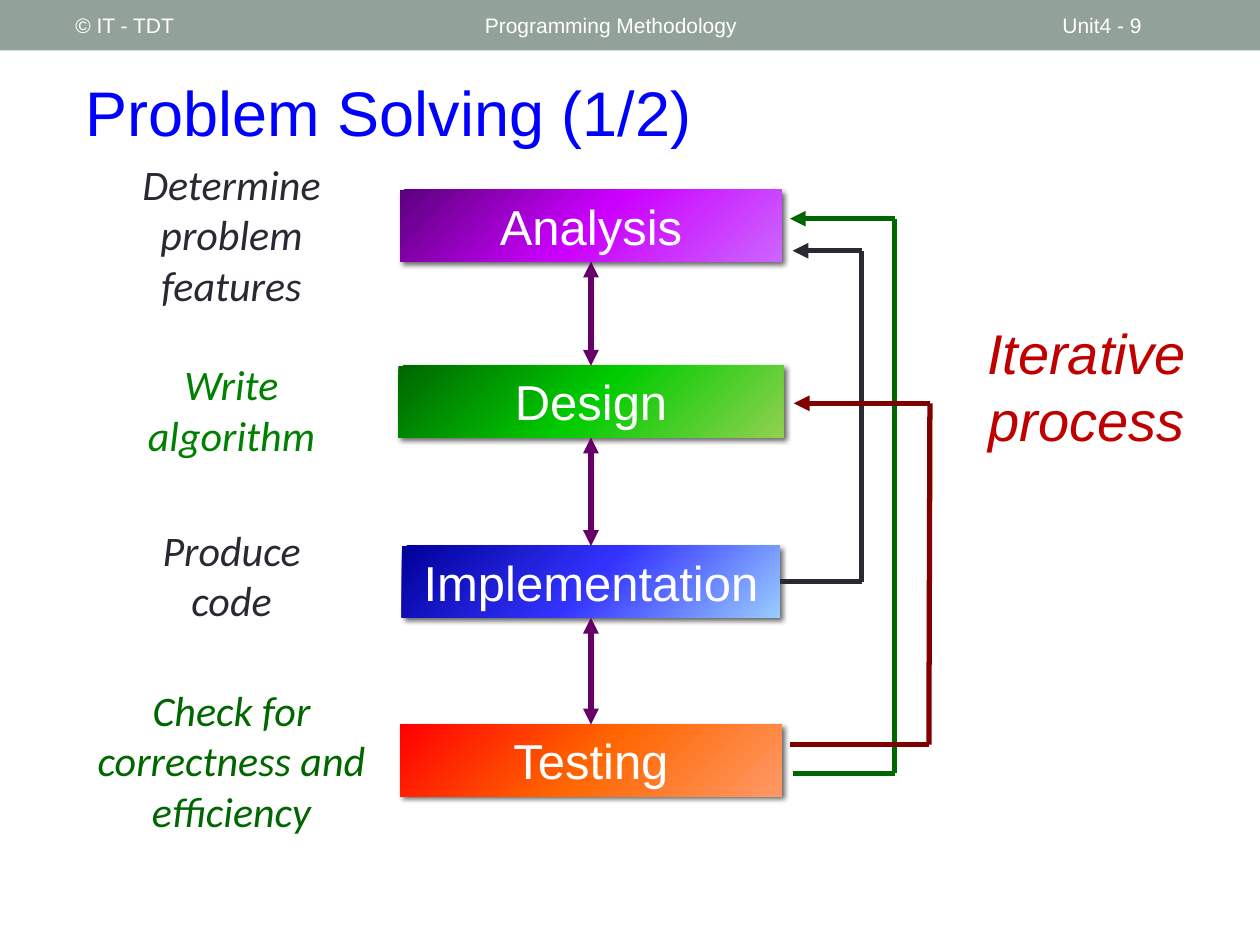
from copy import deepcopy

from lxml import etree
from pptx import Presentation
from pptx import util as u
from pptx.dml.color import RGBColor
from pptx.enum import shapes, text
from pptx.oxml.ns import qn

# Content; all lengths in points
HEADERS = [  # left, width, text
    (270, 324, "Programming Methodology"),
    (600, 84, "Unit4 - 9"),
    (36, 228, "© IT - TDT"),
]
STAGES = [  # name, top, width, gradient colours
    ("Analysis", 108.5, 218, ("5C007E", "CC00FF", "CC66FF")),
    ("Design", 209, 220, ("006600", "00CC00", "92D050")),
    ("Implementation", 312, 216, ("000099", "3333FF", "99CCFF")),
    ("Testing", 414, 218, ("FF0000", "FF6600", "FF9966")),
]
NOTES = [  # text, top, width, height, colour
    ("Determine problem features", 87, 174, 94, "292934"),
    ("Write algorithm", 201.5, 160, 65.5, "008000"),
    ("Produce code", 296, 134, 65.5, "292934"),
    ("Check for correctness and efficiency", 387.5, 199, 94, "006600"),
]
LOOPS = [  # colour, corner points, stage whose right side starts the loop
    ("292934", [(445.7, 332.5), (492.5, 332.5), (492.5, 143.3), (453, 143.3)], "Implementation"),
    ("006600", [(453, 442), (511.2, 442), (511.2, 125), (451.4, 125)], None),
    ("800000", [(451.4, 425.5), (530.8, 425.5), (531.4, 230.5), (453.6, 230.5)], None),
]
STAGE_CENTER, STAGE_HEIGHT = 337.7, 41
NOTE_CENTER = 132.3
BOTTOM, RIGHT, TOP = 2, 3, 0


def color(hex_string):
    return RGBColor.from_string(hex_string)


def write(sp, words, size, hex_color, font="Arial", italic=None,
          align=None, anchor=text.MSO_ANCHOR.TOP):
    tf = sp.text_frame
    tf.word_wrap = True
    tf.vertical_anchor = anchor
    p = tf.paragraphs[0]
    p.text = words
    p.alignment = align
    p.font.size, p.font.name, p.font.italic = u.Pt(size), font, italic
    p.font.color.rgb = color(hex_color)


def add_text(s, left, top, width, height, words, size, hex_color, **style):
    sp = s.shapes.add_textbox(*map(u.Pt, (left, top, width, height)))
    write(sp, words, size, hex_color, **style)


def add_rect(s, left, top, width, height):
    sp = s.shapes.add_shape(shapes.MSO_SHAPE.RECTANGLE,
                            *map(u.Pt, (left, top, width, height)))
    sp.shadow.inherit = False
    sp.line.fill.background()
    return sp


def add_gradient(sp, hex_colors):
    sp.fill.gradient()
    sp.fill.gradient_angle = 315
    stop_list = sp._element.spPr.find(".//" + qn("a:gsLst"))
    stop_list.insert(1, deepcopy(stop_list[0]))
    for stop, position, hex_color in zip(sp.fill.gradient_stops, (0, 0.5, 1), hex_colors):
        stop.position = position
        stop.color.rgb = color(hex_color)


def add_shadow(sp):
    effects = sp._element.spPr.find(qn("a:effectLst"))
    shadow = etree.SubElement(effects, qn("a:outerShdw"), blurRad=str(u.Pt(3)),
                              dist=str(u.Pt(2)), dir="2700000", algn="tl",
                              rotWithShape="0")
    black = etree.SubElement(shadow, qn("a:srgbClr"), val="000000")
    etree.SubElement(black, qn("a:alpha"), val="60000")


def add_line(s, start, end, hex_color, arrows=()):
    line = s.shapes.add_connector(shapes.MSO_CONNECTOR.STRAIGHT,
                                  *map(u.Pt, (*start, *end)))
    line.line.width = u.Pt(3)
    line.line.color.rgb = color(hex_color)
    spPr = line._element.spPr
    for arrow in arrows:
        etree.SubElement(spPr.find(qn("a:ln")), qn("a:" + arrow), type="triangle")
    etree.SubElement(spPr, qn("a:effectLst"))
    return line


def main():
    prs = Presentation()
    prs.slide_width, prs.slide_height = u.Pt(720), u.Pt(540)
    s = prs.slides.add_slide(prs.slide_layouts[6])
    center, middle = text.PP_ALIGN.CENTER, text.MSO_ANCHOR.MIDDLE

    # Header band and title
    band = add_rect(s, 0, 0, 720, 28.8)
    band.fill.solid()
    band.fill.fore_color.rgb = color("93A299")
    for left, width, words in HEADERS:
        add_text(s, left, 1.5, width, 26, words, 12, "FFFFFF", anchor=middle)
    add_text(s, 42, 30.5, 660, 66, "Problem Solving (1/2)", 36, "0000FF", anchor=middle)

    # Stages
    boxes = {}
    for name, top, width, hex_colors in STAGES:
        sp = add_rect(s, STAGE_CENTER - width / 2, top, width, STAGE_HEIGHT)
        add_gradient(sp, hex_colors)
        add_shadow(sp)
        write(sp, name, 28, "FFFFFF", align=center)
        boxes[name] = sp

    # Two-way arrows between neighbouring stages
    for (upper, upper_top, *_), (lower, lower_top, *_) in zip(STAGES, STAGES[1:]):
        line = add_line(s, (STAGE_CENTER, upper_top + STAGE_HEIGHT),
                        (STAGE_CENTER, lower_top), "660066", ("headEnd", "tailEnd"))
        line.begin_connect(boxes[upper], BOTTOM)
        line.end_connect(boxes[lower], TOP)

    # Feedback loops
    for hex_color, points, source in LOOPS:
        for i, (start, end) in enumerate(zip(points, points[1:])):
            is_last = i == len(points) - 2
            line = add_line(s, start, end, hex_color, ("tailEnd",) if is_last else ())
            if i == 0 and source:
                line.begin_connect(boxes[source], RIGHT)

    # Captions
    add_text(s, 540, 178.5, 162, 85, "Iterative process", 32, "C00000",
             italic=True, align=center)
    for words, top, width, height, hex_color in NOTES:
        add_text(s, NOTE_CENTER - width / 2, top, width, height, words, 24, hex_color,
                 font="Calibri", italic=True, align=center)

    prs.save("out.pptx")


if __name__ == "__main__":
    main()
